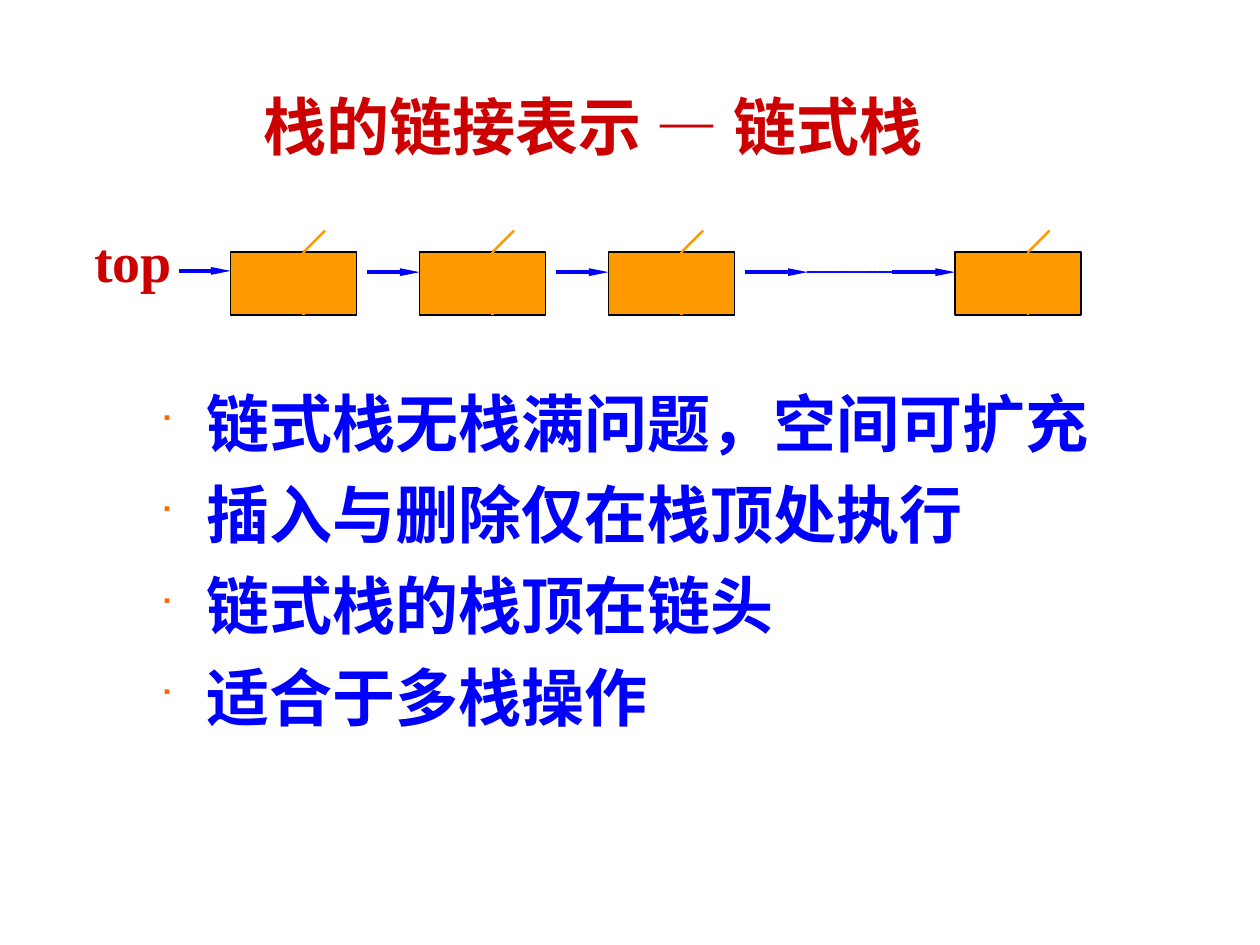
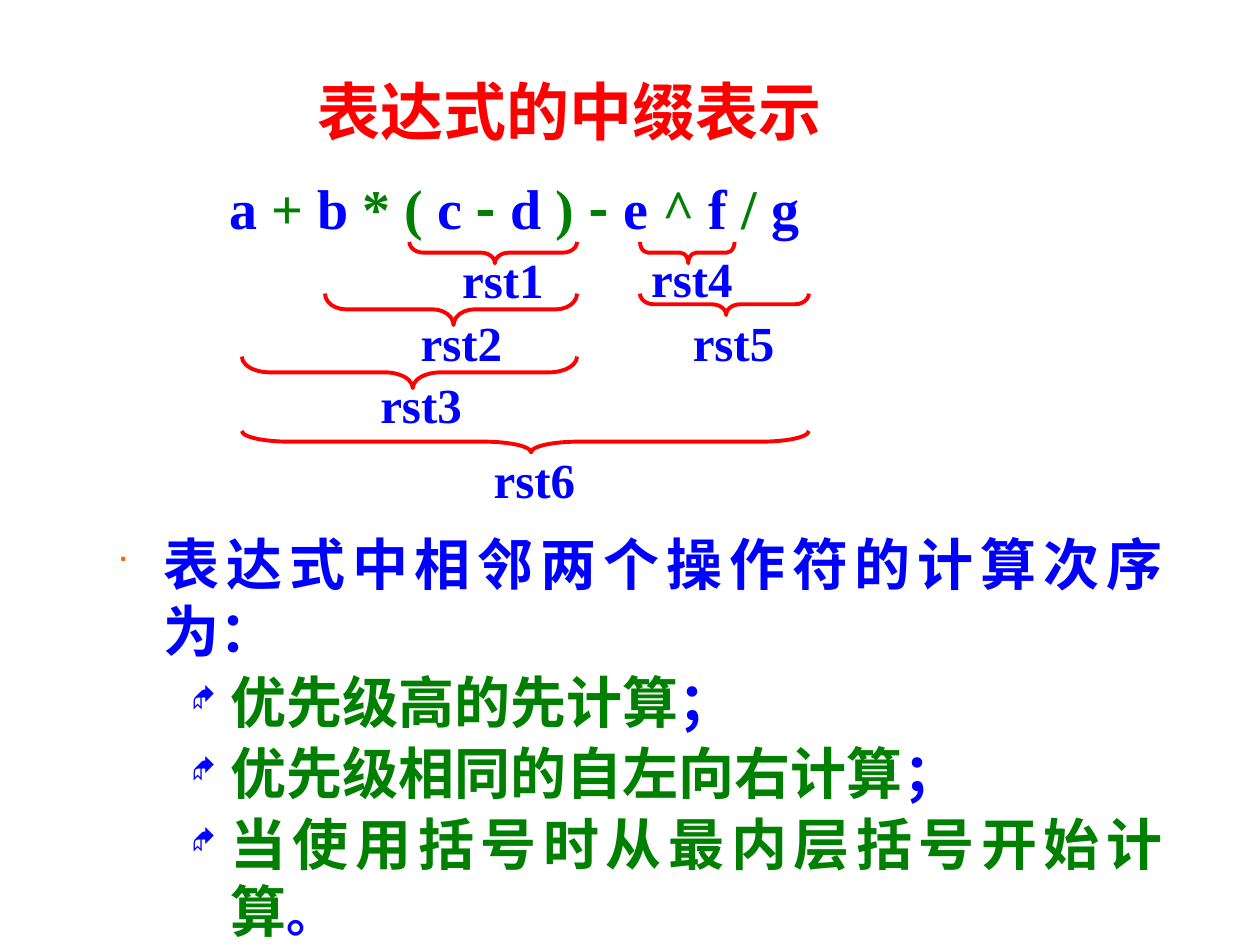
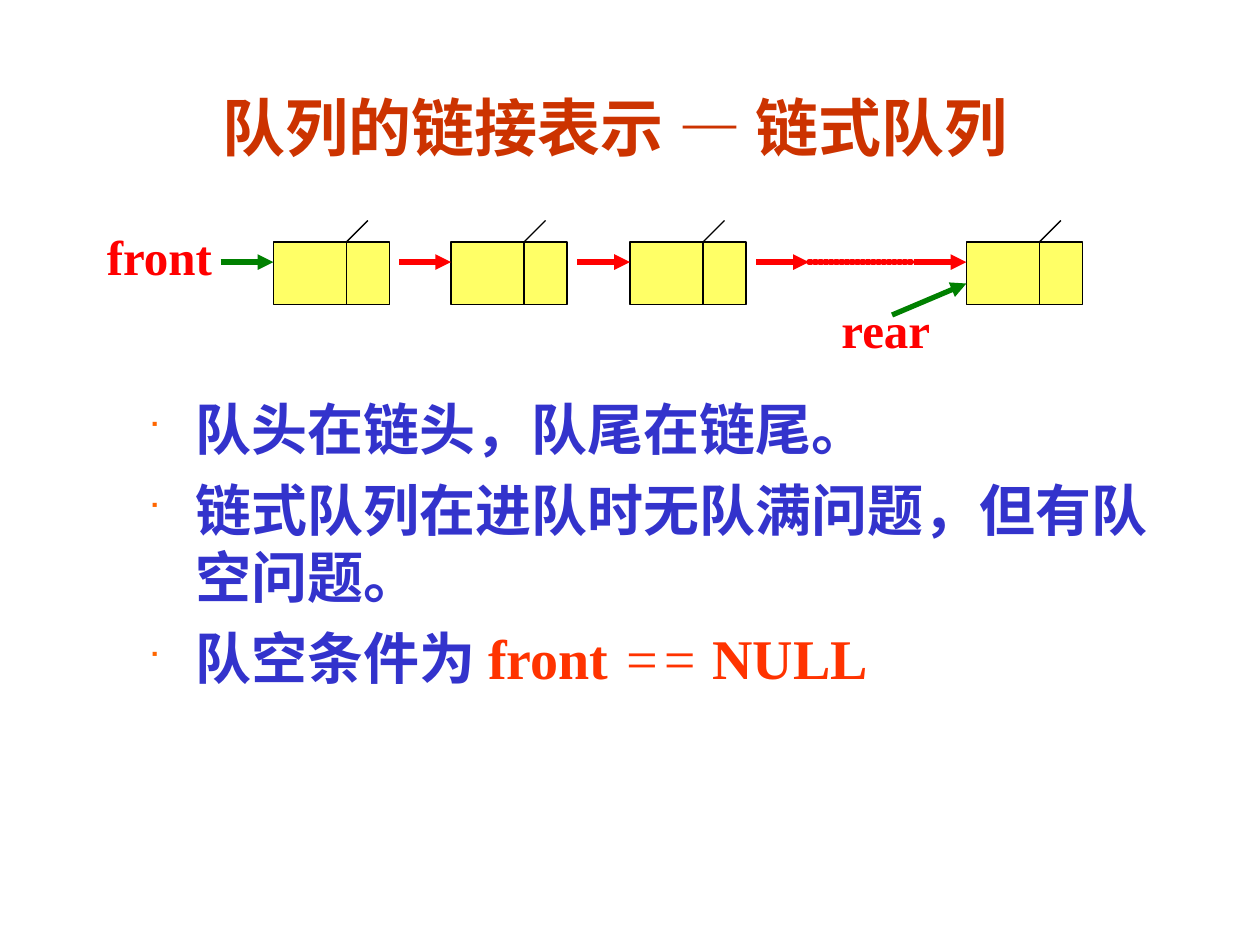
"""Build three slides on linked stacks, infix expressions and linked queues."""
from pptx import Presentation, util as u
from pptx.dml.color import RGBColor
from pptx.enum import shapes, text
from pptx.oxml import parse_xml
from pptx.oxml.ns import nsdecls, qn

COLORS = {
    "crimson": "CC0000", "red": "FF0000", "brick": "CC3300", "vermilion": "FF3300",
    "blue": "0000FF", "indigo": "3333CC", "green": "008000", "black": "000000",
    "orange": "FF9900", "yellow": "FFFF66", "bullet": "FF6600",
}
LATIN, CJK, SYMBOL = "Times New Roman", "Noto Sans CJK SC", "Wingdings"
SQUARE = {"left": 0.37, "hanging": 0.37, "bullet": ("■", "bullet")}
DIAMOND = {"left": 0.9, "hanging": 0.31, "bullet": ("◆", "blue"), "level": 1}

STACK = {
    "title": ("栈的链接表示 — 链式栈", (1.33, 0.58, 6.75, 0.83), "crimson", "c"),
    "points": ["链式栈无栈满问题，空间可扩充", "插入与删除仅在栈顶处执行",
               "链式栈的栈顶在链头", "适合于多栈操作"],
    "points_box": (1.17, 3, 8.25, 2.92),
    "points_format": {"size": 36, "color": "blue", "before": 9},
    "labels": [("top", (0.65, 1.75, 0.82, 0.64), 32, "crimson")],
    "nodes": {"lefts": (1.83, 3.33, 4.83, 7.58), "top": 2, "width": 1, "fill": "orange",
              "divider": "orange", "divider_width": 1.5},
    "links": {"color": "blue", "width": 2.25, "head": ("sm", "lg"), "reach": 0.5,
              "dots_width": 1.5},
    "pointers": [((1.42, 2.15), (1.83, 2.15), "blue")],
}
QUEUE = {
    "title": ("队列的链接表示 — 链式队列", (1.67, 0.67, 7.08, 0.67), "brick", "l"),
    "points": ["队头在链头，队尾在链尾。", "链式队列在进队时无队满问题，但有队空问题。",
               [("队空条件为 ", {}), ("front ", {"color": "vermilion"}),
                ("==", {"color": "vermilion", "bold": False, "italic": True}),
                (" NULL", {"color": "vermilion"})]],
    "points_box": (1.08, 3.08, 8.17, 2.83),
    "points_format": {"size": 32, "color": "indigo", "before": 8},
    "labels": [("front", (0.75, 1.75, 1.04, 0.57), 28, "red"),
               ("rear", (6.58, 2.33, 0.91, 0.57), 28, "red")],
    "nodes": {"lefts": (2.17, 3.58, 5, 7.67), "top": 1.92, "width": 0.92, "fill": "yellow",
              "divider": "black", "divider_width": 0.75},
    "links": {"color": "red", "width": 3, "head": ("med", "med"), "reach": 0.42,
              "dots_width": 3},
    "pointers": [((1.75, 2.08), (2.17, 2.08), "green"), ((7.08, 2.5), (7.67, 2.25), "green")],
}
INFIX_TITLE = ("表达式的中缀表示", (2.42, 0.5, 4.5, 0.75), "red", "l")
FORMULA = [
    ("a ", "blue"), ("+", "green"), (" b ", "blue"), ("* (", "green"), (" c ", "blue"),
    ("-", "green"), (" d ", "blue"), (") ", "green"), ("-", "green"), (" e ", "blue"),
    ("^", "green"), (" f ", "blue"), ("/", "green"), (" g", "blue"),
]
ORDER_HEADING = "表达式中相邻两个操作符的计算次序为："
ORDER_RULES = [("优先级高的先计算", "；", 32), ("优先级相同的自左向右计算", "；", 32),
               ("当使用括号时从最内层括号开始计算", "。", 28)]
BRACES = [
    ("rst1", (3.57, 1.93), (3.25, 4.58), 1.92, 0.17),
    ("rst2", (3.24, 2.43), (2.58, 4.58), 2.33, 0.25),
    ("rst3", (2.92, 2.92), (1.92, 4.58), 2.83, 0.25),
    ("rst4", (5.07, 1.92), (5.08, 5.83), 1.92, 0.17),
    ("rst5", (5.4, 2.43), (5.08, 6.42), 2.33, 0.17),
    ("rst6", (3.82, 3.52), (1.92, 6.42), 3.42, 0.17),
]


def rgb(name):
    return RGBColor.from_string(COLORS[name])


def inches(values):
    return [u.Inches(value) for value in values]


def add_box(slide, box, wrap=True, middle=False):
    frame = slide.shapes.add_textbox(*inches(box)).text_frame
    frame.word_wrap = wrap
    frame.auto_size = text.MSO_AUTO_SIZE.NONE if wrap else text.MSO_AUTO_SIZE.SHAPE_TO_FIT_TEXT
    frame.vertical_anchor = text.MSO_ANCHOR.MIDDLE if middle else text.MSO_ANCHOR.TOP
    return frame


def write(frame, content, size=32, color="blue", align="l", before=0, left=0, hanging=0,
          bullet=None, level=0):
    """Fill the next paragraph with a string or a list of (text, format) runs."""
    first = frame.paragraphs[0]
    paragraph = frame.add_paragraph() if first.runs else first
    paragraph.alignment = {"l": text.PP_ALIGN.LEFT, "c": text.PP_ALIGN.CENTER,
                           "j": text.PP_ALIGN.JUSTIFY}[align]
    paragraph.space_before = u.Pt(before)
    paragraph.level = level
    properties = paragraph._p.get_or_add_pPr()
    properties.set("marL", str(u.Inches(left)))
    properties.set("indent", str(u.Inches(-hanging)))
    properties.set("hangingPunct", "0")
    if bullet:
        symbol, bullet_color = bullet
        for element in (f'<a:buClr {nsdecls("a")}><a:srgbClr val="{COLORS[bullet_color]}"/></a:buClr>',
                        f'<a:buSzPct {nsdecls("a")} val="50000"/>',
                        f'<a:buFont {nsdecls("a")} typeface="{SYMBOL}" charset="2"/>',
                        f'<a:buChar {nsdecls("a")} char="{symbol}"/>'):
            properties.append(parse_xml(element))
    for words, style in [(content, {})] if isinstance(content, str) else content:
        run = paragraph.add_run()
        run.text = words
        run.font.name = style.get("font", LATIN)
        run.font.size = u.Pt(style.get("size", size))
        run.font.bold = style.get("bold", True)
        run.font.italic = style.get("italic", False)
        run.font.color.rgb = rgb(style.get("color", color))


def add_title(slide, words, box, color, align):
    write(add_box(slide, box, middle=True), words, size=36, color=color, align=align)


def add_label(slide, words, box, size, color):
    write(add_box(slide, box, wrap=False), words, size=size, color=color)


def add_line(slide, start, end, color, width, head=None, dotted=False):
    connector = slide.shapes.add_connector(shapes.MSO_CONNECTOR.STRAIGHT, *inches(start + end))
    connector.line.color.rgb = rgb(color)
    connector.line.width = u.Pt(width)
    outline = connector.line._get_or_add_ln()
    if dotted:
        outline.set("cap", "rnd")
        outline.append(parse_xml(f'<a:custDash {nsdecls("a")}><a:ds d="50000" sp="50000"/></a:custDash>'))
    if head:
        tail = outline.makeelement(qn("a:tailEnd"),
                                   {"type": "triangle", "w": head[0], "len": head[1]})
        outline.append(tail)
    connector._element.spPr.append(parse_xml(f'<a:effectLst {nsdecls("a")}/>'))


def add_node(slide, left, top, width, fill, divider, divider_width):
    node = slide.shapes.add_shape(shapes.MSO_SHAPE.RECTANGLE, *inches((left, top, width, 0.5)))
    node.shadow.inherit = False
    node.fill.solid()
    node.fill.fore_color.rgb = rgb(fill)
    node.line.color.rgb = rgb("black")
    node.line.width = u.Pt(0.75)
    corner = (left + 0.58, top)
    for end in ((corner[0], top + 0.5), (corner[0] + 0.17, top - 0.17)):
        add_line(slide, corner, end, divider, divider_width)


def add_links(slide, lefts, top, node_width, color, width, head, reach, dots_width):
    y = top + 0.16
    starts = [left + node_width + 0.08 for left in lefts[:-1]]
    arrows = list(zip(starts, lefts[1:]))
    gap_start, gap_end = arrows.pop()
    dots = (gap_start + reach, gap_end - reach)
    arrows += [(gap_start, dots[0]), (dots[1], gap_end)]
    for start, end in arrows:
        add_line(slide, (start, y), (end, y), color, width, head)
    add_line(slide, (dots[0], y), (dots[1], y), color, dots_width, dotted=True)


def add_brace(slide, ends, top, depth):
    length = ends[1] - ends[0]
    center_x, center_y = sum(ends) / 2, top + depth / 2
    box = (center_x - depth / 2, center_y - length / 2, depth, length)
    brace = slide.shapes.add_shape(shapes.MSO_SHAPE.LEFT_BRACE, *inches(box))
    brace.rotation = 270
    brace.adjustments[0] = length / depth / 12
    brace.adjustments[1] = 0.51
    brace.shadow.inherit = False
    brace.fill.background()
    brace.line.color.rgb = rgb("red")
    brace.line.width = u.Pt(2.25)


def build_chain(slide, chain):
    add_title(slide, *chain["title"])
    body = add_box(slide, chain["points_box"])
    for point in chain["points"]:
        write(body, point, **chain["points_format"], **SQUARE)
    for label in chain["labels"]:
        add_label(slide, *label)
    nodes, links = dict(chain["nodes"]), chain["links"]
    lefts = nodes.pop("lefts")
    for left in lefts:
        add_node(slide, left, **nodes)
    add_links(slide, lefts, nodes["top"], nodes["width"], **links)
    for start, end, color in chain["pointers"]:
        add_line(slide, start, end, color, links["width"], links["head"])


def build_infix(slide):
    add_title(slide, *INFIX_TITLE)
    body = add_box(slide, (0.83, 1.33, 8.5, 5.17))
    formula = [(words, {"color": color, "font": CJK if words == "-" else LATIN})
               for words, color in FORMULA]
    write(body, formula, before=2, left=0.89)
    write(body, ORDER_HEADING, align="j", before=165, **SQUARE)
    for rule, mark, mark_size in ORDER_RULES:
        write(body, [(rule, {"color": "green"}), (mark, {"size": mark_size})],
              align="j", before=2, **DIAMOND)
    for words, corner, ends, top, depth in BRACES:
        add_brace(slide, ends, top, depth)
        add_label(slide, words, corner + (0.87, 0.57), 28, "blue")


def main():
    presentation = Presentation()
    presentation.slide_width, presentation.slide_height = inches((10, 7.5))
    stack, infix, queue = [presentation.slides.add_slide(presentation.slide_layouts[6])
                           for _ in range(3)]
    build_chain(stack, STACK)
    build_infix(infix)
    build_chain(queue, QUEUE)
    presentation.save("out.pptx")


if __name__ == "__main__":
    main()
